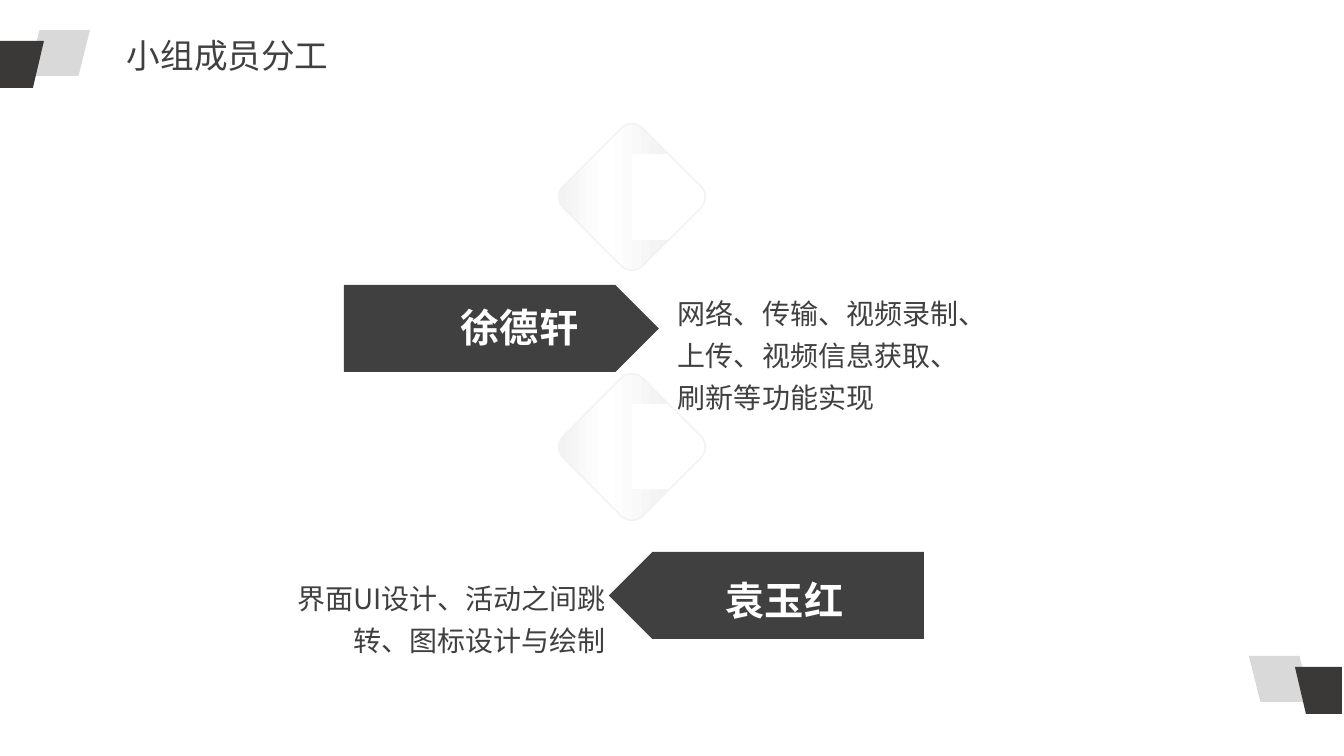
from copy import deepcopy
from math import cos, radians, sin

from lxml import etree
from pptx import Presentation
from pptx.dml.color import RGBColor
from pptx.enum.shapes import MSO_SHAPE
from pptx.enum.text import MSO_ANCHOR, MSO_AUTO_SIZE, PP_ALIGN
from pptx.oxml.ns import qn
from pptx.util import Pt

PENTAGON, PARALLELOGRAM = MSO_SHAPE.PENTAGON, MSO_SHAPE.PARALLELOGRAM
TOP, MIDDLE = MSO_ANCHOR.TOP, MSO_ANCHOR.MIDDLE
LEFT, CENTER, RIGHT, JUSTIFY = PP_ALIGN.LEFT, PP_ALIGN.CENTER, PP_ALIGN.RIGHT, PP_ALIGN.JUSTIFY
GROW = MSO_AUTO_SIZE.SHAPE_TO_FIT_TEXT

THEME = {
    "font": "Noto Sans CJK SC",
    "dark": "404040", "tab": "3B3838", "light": "D9D9D9",
    "pale": "F2F2F2", "white": "FFFFFF",
    "title": 24, "name": 28, "duty": 20,
}

TITLE = ("小组成员分工", (117, 30, 343, 50))
MEMBERS = [
    {"name": "徐德轩", "name_at": (453, 303, 133, 47),
     "duty": "网络、传输、视频录制、上传、视频信息获取、刷新等功能实现",
     "duty_at": (668, 283, 305, 137), "align": LEFT,
     "arrow_at": (344, 285), "flip": False, "diamond_y": 197},
    {"name": "袁玉红", "name_at": (718, 576, 133, 47),
     "duty": "界面UI设计、活动之间跳转、图标设计与绘制",
     "duty_at": (277, 568, 339, 95), "align": RIGHT,
     "arrow_at": (609, 552), "flip": True, "diamond_y": 447},
]
ARROW_SIZE = (315, 87)
DIAMOND_X, DIAMOND_REACH, CORNER = 632, 74, 16
NOTCH = [(36, -43), (0, -43), (0, 43), (36, 43)]
LIGHT_TAB = (28, 30, 62, 46)
DARK_TAB = [(-3, 41), (44, 41), (33, 88), (-3, 88)]
MIRROR_X, MIRROR_DROP = 1339, 626

SCALE = 914400 / 100.8


def px(value):
    return round(value * SCALE)


def color(key):
    return RGBColor.from_string(THEME[key])


def finish(shape, fill):
    shape.shadow.inherit = False
    shape.line.fill.background()
    if fill:
        shape.fill.solid()
        shape.fill.fore_color.rgb = color(fill)


def add_preset(page, kind, at, fill, flip):
    shape = page.shapes.add_shape(kind, *map(px, at))
    finish(shape, fill)
    if flip:
        shape._element.spPr.get_or_add_xfrm().set("flipH", "1")


def add_outline(page, contours, fill=None):
    paths = [[(px(x), px(y)) for x, y in contour] for contour in contours]
    builder = page.shapes.build_freeform(*paths[0][0], scale=1.0)
    for index, points in enumerate(paths):
        if index:
            builder.move_to(*points[0])
        builder.add_line_segments(points[1:], close=True)
    shape = builder.convert_to_shape()
    finish(shape, fill)
    return shape


def corner_points(middle_y, reach, radius, directions):
    points = []
    for direction in directions:
        turn = radians(direction)
        for step in range(-45, 46, 9):
            angle = radians(direction + step)
            points.append((
                DIAMOND_X + (reach - radius) * cos(turn) + radius * cos(angle),
                middle_y + (reach - radius) * sin(turn) + radius * sin(angle)))
    return points


def add_diamond(page, middle_y):
    body = corner_points(middle_y, DIAMOND_REACH - 1, CORNER, (90, 180, 270))
    body += [(DIAMOND_X + x, middle_y + y) for x, y in NOTCH]
    shape = add_outline(page, [body])
    shape.fill.gradient()
    shape.fill.gradient_angle = 0
    first, last = shape.fill.gradient_stops
    first.position, last.position = 0, 1
    first.color.rgb = last.color.rgb = color("pale")
    start = shape._element.spPr.find(".//" + qn("a:gs"))
    center = deepcopy(start)
    center.set("pos", "42000")
    center.find(qn("a:srgbClr")).set("val", THEME["white"])
    start.addnext(center)

    turns = (0, 90, 180, 270)
    outer = corner_points(middle_y, DIAMOND_REACH, CORNER, turns)
    inner = corner_points(middle_y, DIAMOND_REACH - 1.5, CORNER - 1, turns)
    add_outline(page, [outer, inner[::-1]], "pale")


def add_text(page, text, at, size, align, ink="dark", bold=False,
             anchor=TOP, tight=False, after=None, spacing=None):
    box = page.shapes.add_textbox(*map(px, at))
    frame = box.text_frame
    frame.word_wrap = True
    frame.auto_size = GROW
    frame.vertical_anchor = anchor
    if tight:
        frame.margin_left = frame.margin_right = 0
        frame.margin_top = frame.margin_bottom = 0
    para = frame.paragraphs[0]
    para.alignment = align
    if after:
        para.space_after = Pt(after)
    if spacing:
        para.line_spacing = spacing
    span = para.add_run()
    span.text = text
    span.font.name = THEME["font"]
    span.font.size = Pt(THEME[size])
    span.font.bold = bold
    span.font.color.rgb = color(ink)
    east_asian = etree.SubElement(span.font._element, qn("a:ea"))
    east_asian.set("typeface", THEME["font"])


def add_tabs(page, mirrored):
    left, top, width, height = LIGHT_TAB
    points = DARK_TAB
    if mirrored:
        left, top = MIRROR_X - left - width, top + MIRROR_DROP
        points = [(MIRROR_X - x, y + MIRROR_DROP) for x, y in points]
    add_preset(page, PARALLELOGRAM, (left, top, width, height), "light", mirrored)
    add_outline(page, [points], "tab")


deck = Presentation()
deck.slide_width, deck.slide_height = px(1344), px(756)
page = deck.slides.add_slide(deck.slide_layouts[6])

for mirrored in (False, True):
    add_tabs(page, mirrored)
add_text(page, *TITLE, "title", JUSTIFY)
for member in MEMBERS:
    add_preset(page, PENTAGON, member["arrow_at"] + ARROW_SIZE, "dark", member["flip"])
    add_diamond(page, member["diamond_y"])
for member in MEMBERS:
    add_text(page, member["name"], member["name_at"], "name", CENTER, "white",
             bold=True, anchor=MIDDLE, tight=True, after=12)
for member in MEMBERS:
    add_text(page, member["duty"], member["duty_at"], "duty", member["align"],
             spacing=1.25)

deck.save("out.pptx")
